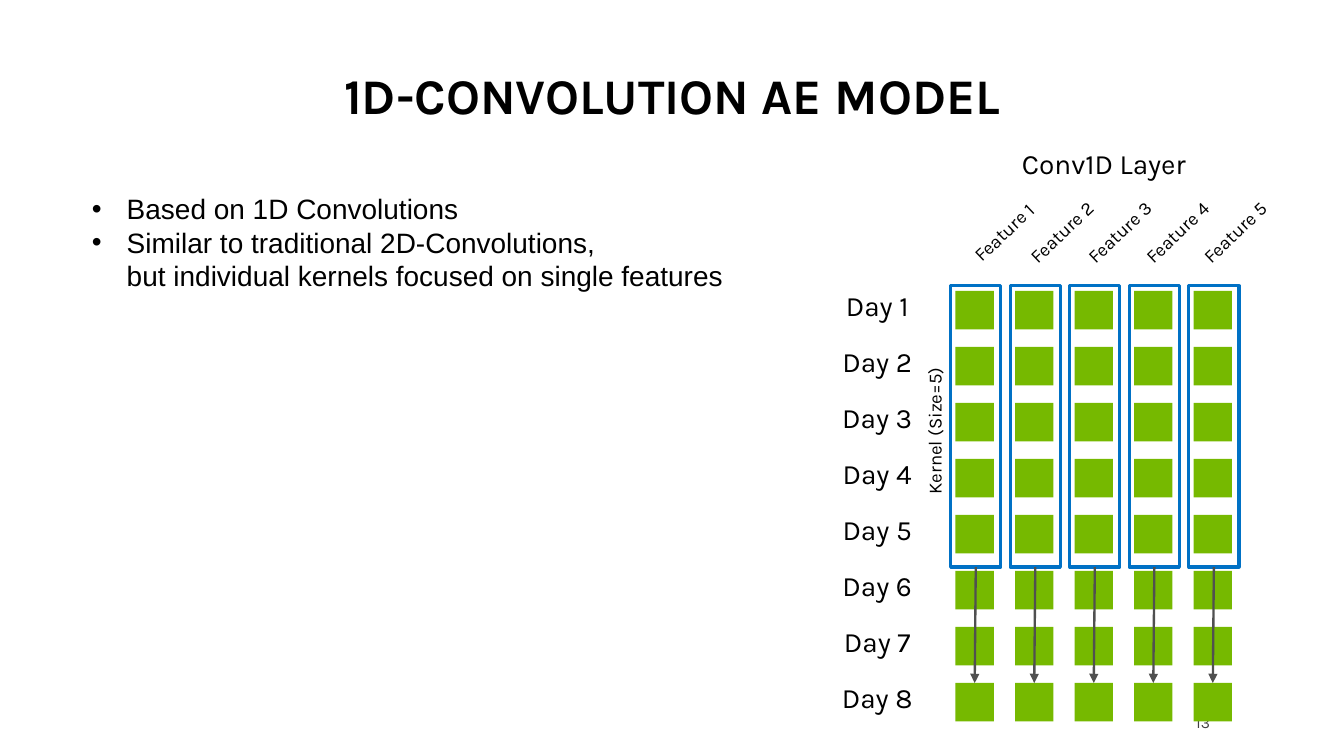
from dataclasses import dataclass

from pptx import Presentation
from pptx.dml.color import RGBColor
from pptx.enum.shapes import MSO_CONNECTOR as Connector, MSO_SHAPE as Shape
from pptx.enum.text import MSO_ANCHOR as Anchor, MSO_AUTO_SIZE as AutoSize, PP_ALIGN as Align
from pptx.oxml.ns import qn
from pptx.util import Cm, Pt


@dataclass(frozen=True)
class Theme:
    """Colours, fonts and type sizes of the slide."""
    text: RGBColor = RGBColor(0x00, 0x00, 0x00)
    muted: RGBColor = RGBColor(0x40, 0x40, 0x40)
    cell: RGBColor = RGBColor(0x76, 0xB9, 0x00)
    kernel: RGBColor = RGBColor(0x00, 0x71, 0xC5)
    arrow: RGBColor = RGBColor(0x50, 0x50, 0x50)
    heading_font: str = "Karla"
    body_font: str = "Arial"
    title: int = 32
    body: int = 18
    small: int = 12
    number: int = 10


THEME = Theme()
DAYS, FEATURES = 8, 5
COLUMN_PITCH, ROW_PITCH, LABEL_PITCH = 1.35, 1.27, 1.31
CELL_LEFT, CELL_TOP, CELL_SIZE = 21.67, 6.6, 0.87


def place(shape, left, top, width, height):
    """Move and size a shape, in centimetres."""
    shape.left, shape.top, shape.width, shape.height = map(Cm, (left, top, width, height))


def add_run(paragraph, text, size, font=THEME.heading_font, color=THEME.text, bold=False):
    """Add one formatted run to a paragraph."""
    run = paragraph.add_run()
    run.text = text
    run.font.name, run.font.size, run.font.bold = font, Pt(size), bold
    run.font.color.rgb = color


def fill_title(title, text):
    """Place and write the slide title."""
    place(title, 1.4, 1.32, 27.71, 1.65)
    title.text_frame.auto_size = AutoSize.NONE
    title.text_frame.vertical_anchor = Anchor.BOTTOM
    paragraph = title.text_frame.paragraphs[0]
    paragraph.alignment, paragraph.line_spacing = Align.CENTER, 0.9
    add_run(paragraph, text, THEME.title, bold=True)


def fill_bullets(body, points):
    """Place the body and write each point, given as a list of lines."""
    place(body, 1.83, 4.22, 15.39, 2.57)
    frame = body.text_frame
    frame.auto_size = AutoSize.NONE
    for index, lines in enumerate(points):
        paragraph = frame.add_paragraph() if index else frame.paragraphs[0]
        paragraph.space_before = Pt(0)
        properties = paragraph._p.get_or_add_pPr()
        properties.set("marL", str(Cm(0.79)))
        properties.set("indent", str(Cm(-0.79)))
        for number, line in enumerate(lines):
            if number:
                paragraph.add_line_break()
            add_run(paragraph, line, THEME.body, THEME.body_font)


def add_label(shapes, text, box, size, rotation=0, align=Align.CENTER, color=THEME.text):
    """Add a vertically centred text box."""
    label = shapes.add_textbox(*map(Cm, box))
    label.rotation = rotation
    frame = label.text_frame
    frame.word_wrap, frame.vertical_anchor = True, Anchor.MIDDLE
    paragraph = frame.paragraphs[0]
    paragraph.alignment, paragraph.line_spacing = align, 0.9
    add_run(paragraph, text, size, color=color)


def add_day(shapes, day):
    """Add the group of one day's cells and label, and return the cells."""
    row = shapes.add_group_shape().shapes
    drop = day * ROW_PITCH
    cells = []
    for feature in range(FEATURES):
        left = CELL_LEFT + feature * COLUMN_PITCH
        cell = row.add_shape(Shape.RECTANGLE, Cm(left), Cm(CELL_TOP + drop), Cm(CELL_SIZE), Cm(CELL_SIZE))
        cell.shadow.inherit = False
        cell.fill.solid()
        cell.fill.fore_color.rgb = THEME.cell
        cell.line.fill.background()
        cells.append(cell)
    add_label(row, f"Day {day + 1}", (18.75, 6.5 + drop, 2.29, 0.94), THEME.body)
    return cells


def add_kernel(shapes, feature):
    """Add the outline of one feature's kernel."""
    left = 21.56 + feature * COLUMN_PITCH
    kernel = shapes.add_shape(Shape.RECTANGLE, Cm(left), Cm(6.48), Cm(1.14), Cm(6.38))
    kernel.shadow.inherit = False
    kernel.fill.background()
    kernel.line.color.rgb, kernel.line.width = THEME.kernel, Pt(2)
    return kernel


def add_arrow(shapes, kernel, cell):
    """Join a kernel's bottom to a cell's top with an arrow."""
    arrow = shapes.add_connector(Connector.STRAIGHT, 0, 0, 0, 0)
    arrow.begin_connect(kernel, 2)
    arrow.end_connect(cell, 0)
    arrow.line.color.rgb, arrow.line.width = THEME.arrow, Pt(1.5)
    outline = arrow.line._get_or_add_ln()
    outline.append(outline.makeelement(qn("a:tailEnd"), {"type": "triangle"}))
    properties = arrow._element.spPr
    properties.append(properties.makeelement(qn("a:effectLst"), {}))


def main():
    """Build and save the slide."""
    deck = Presentation()
    deck.slide_width, deck.slide_height = Cm(30.48), Cm(17.145)
    slide = deck.slides.add_slide(deck.slide_layouts[1])
    shapes = slide.shapes

    fill_title(shapes.title, "1D-CONVOLUTION AE MODEL")
    fill_bullets(slide.placeholders[1], [
        ["Based on 1D Convolutions"],
        ["Similar to traditional 2D-Convolutions,", "but individual kernels focused on single features"],
    ])
    add_label(shapes, "13", (20.83, 15.95, 6.86, 0.91), THEME.number, align=Align.RIGHT, color=THEME.muted)

    rows = [add_day(shapes, day) for day in range(DAYS)]
    for feature in range(FEATURES):
        box = (21.44 + feature * LABEL_PITCH, 4.93, 2.69, 0.71)
        add_label(shapes, f"Feature {feature + 1}", box, THEME.small, rotation=316.5)
    add_label(shapes, "Kernel (Size=5)", (19.46, 9.42, 3.51, 0.71), THEME.small, rotation=270)
    add_label(shapes, "Conv1D Layer", (22.66, 3.28, 4.75, 0.94), THEME.body)
    for feature, last_cell in enumerate(rows[-1]):
        add_arrow(shapes, add_kernel(shapes, feature), last_cell)

    deck.save("out.pptx")


if __name__ == "__main__":
    main()
